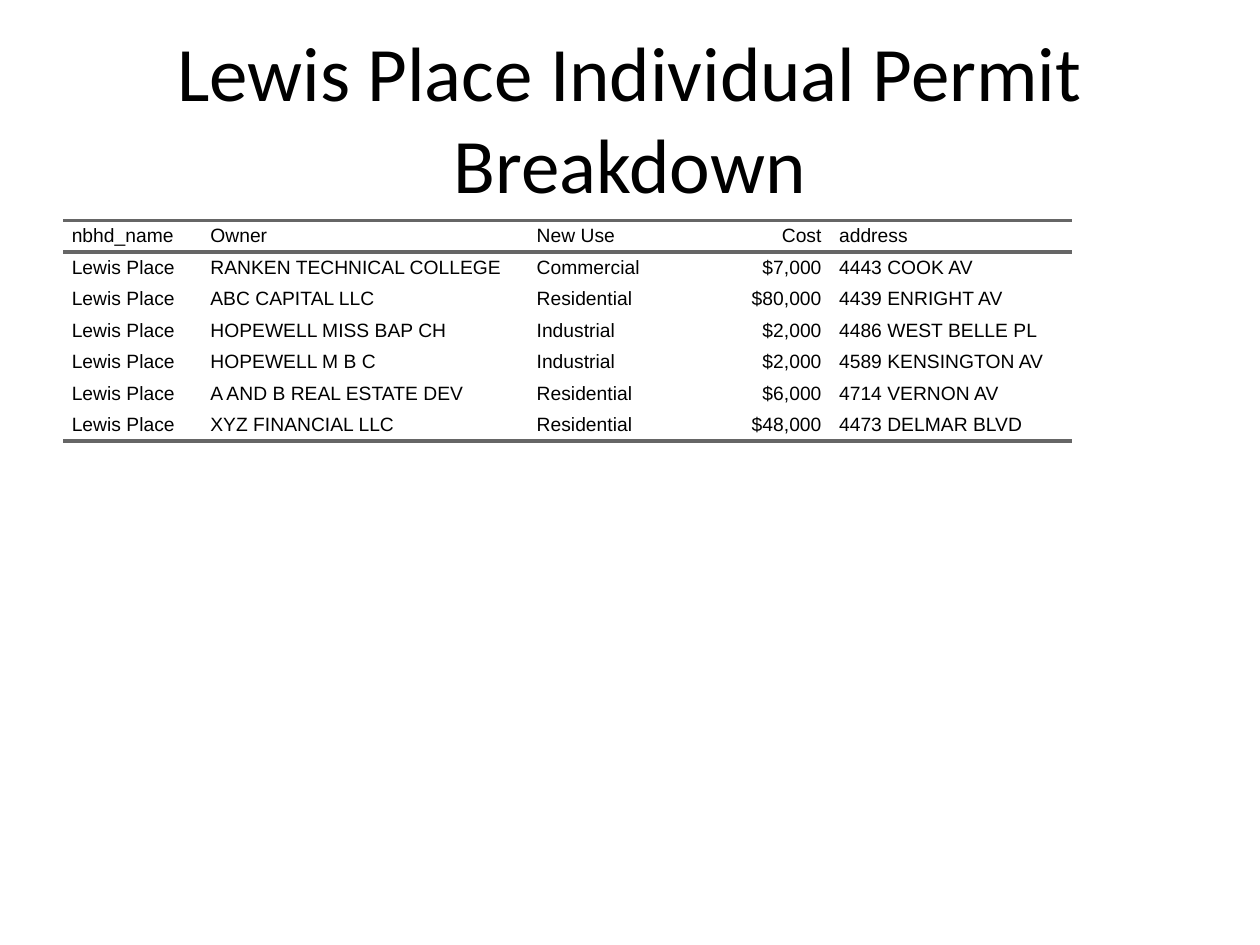
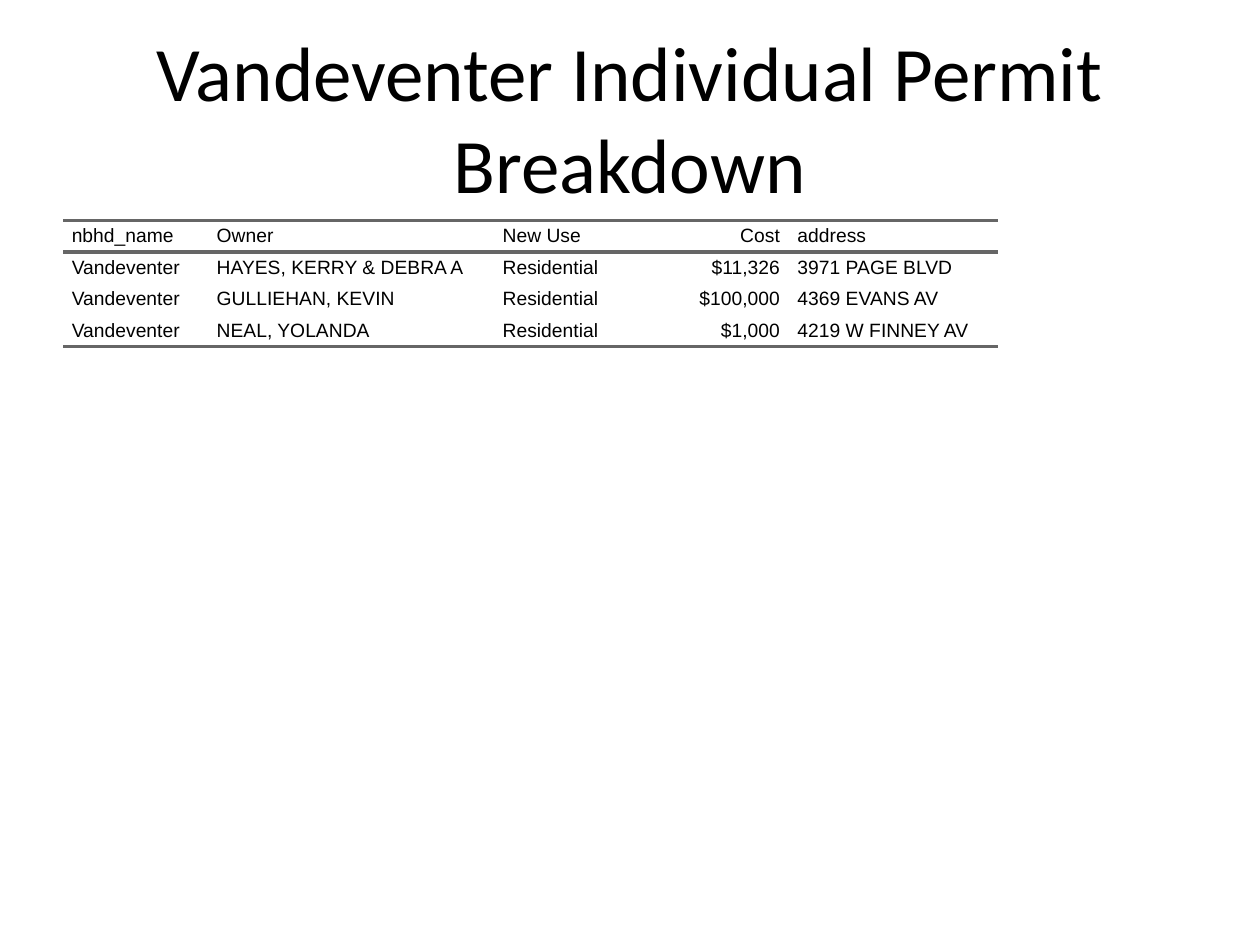
from lxml import etree
from pptx import Presentation
from pptx.dml.color import RGBColor
from pptx.enum.text import MSO_ANCHOR, PP_ALIGN
from pptx.oxml.ns import qn
from pptx.util import Pt

PX = 9144
LEFT, RIGHT, CENTER = PP_ALIGN.LEFT, PP_ALIGN.RIGHT, PP_ALIGN.CENTER
MIDDLE = MSO_ANCHOR.MIDDLE
HEX = {"ink": "000000", "rule": "666666", "page": "FFFFFF"}
PLAIN = "{2D5ABB26-0587-4C30-8999-92F81FD0307C}"
HEADS = ("nbhd_name", "Owner", "New Use", "Cost", "address")
ALIGNS = (LEFT, LEFT, LEFT, RIGHT, LEFT)
EDGE, ROW, PAD, RULE = 50, 25, 7, 2

AREAS = [
    ("Lewis Place", (110, 259, 110, 130, 192), [
        ("RANKEN TECHNICAL COLLEGE", "Commercial", "$7,000", "4443 COOK AV"),
        ("ABC CAPITAL LLC", "Residential", "$80,000", "4439 ENRIGHT AV"),
        ("HOPEWELL MISS BAP CH", "Industrial", "$2,000", "4486 WEST BELLE PL"),
        ("HOPEWELL M B C", "Industrial", "$2,000", "4589 KENSINGTON AV"),
        ("A AND B REAL ESTATE DEV", "Residential", "$6,000", "4714 VERNON AV"),
        ("XYZ FINANCIAL LLC", "Residential", "$48,000", "4473 DELMAR BLVD"),
    ]),
    ("Vandeventer", (115, 227, 104, 130, 166), [
        ("HAYES, KERRY & DEBRA A", "Residential", "$11,326", "3971 PAGE BLVD"),
        ("GULLIEHAN, KEVIN", "Residential", "$100,000", "4369 EVANS AV"),
        ("NEAL, YOLANDA", "Residential", "$1,000", "4219 W FINNEY AV"),
    ]),
]


class Deck:
    def __init__(self):
        self.prs = Presentation()
        self.prs.slide_width, self.prs.slide_height = 1000 * PX, 750 * PX
        self.slide = None

    def page(self):
        self.slide = self.prs.slides.add_slide(self.prs.slide_layouts[6])
        fill = self.slide.background.fill
        fill.solid()
        fill.fore_color.rgb = RGBColor.from_string(HEX["page"])

    def text(self, frame, words, size, face, align):
        para = frame.paragraphs[0]
        para.alignment = align
        run = para.add_run()
        run.text = words
        run.font.size = Pt(size)
        run.font.name = face
        run.font.color.rgb = RGBColor.from_string(HEX["ink"])

    def title(self, words):
        box = self.slide.shapes.add_textbox(EDGE * PX, 30 * PX, 900 * PX, 125 * PX)
        frame = box.text_frame
        frame.word_wrap = True
        frame.vertical_anchor = MIDDLE
        self.text(frame, words, 44, "Calibri", CENTER)

    def rule(self, cell, side):
        props = cell._tc.get_or_add_tcPr()
        line = etree.SubElement(props, qn(f"a:ln{side}"), w=str(Pt(RULE)))
        fill = etree.SubElement(line, qn("a:solidFill"))
        etree.SubElement(fill, qn("a:srgbClr"), val=HEX["rule"])

    def cell(self, cell, words, align, sides):
        cell.margin_left = cell.margin_right = PAD * PX
        cell.margin_top = cell.margin_bottom = 0
        cell.vertical_anchor = MIDDLE
        for side in sides:
            self.rule(cell, side)
        cell.fill.background()
        self.text(cell.text_frame, words, 11, "Arial", align)

    def table(self, rows, widths):
        frame = self.slide.shapes.add_table(
            len(rows), len(widths), EDGE * PX, 175 * PX,
            sum(widths) * PX, len(rows) * ROW * PX)
        table = frame.table
        table.horz_banding = False
        table._tbl.tblPr.find(qn("a:tableStyleId")).text = PLAIN
        for col, width in zip(table.columns, widths):
            col.width = width * PX
        rules = {0: "TB", len(rows) - 1: "B"}
        for r, row in enumerate(rows):
            table.rows[r].height = ROW * PX
            for c, words in enumerate(row):
                self.cell(table.cell(r, c), words, ALIGNS[c], rules.get(r, ""))


def main():
    deck = Deck()
    for area, widths, permits in AREAS:
        deck.page()
        deck.title(f"{area} Individual Permit Breakdown")
        deck.table([HEADS] + [(area, *permit) for permit in permits], widths)
    deck.prs.save("out.pptx")


if __name__ == "__main__":
    main()
